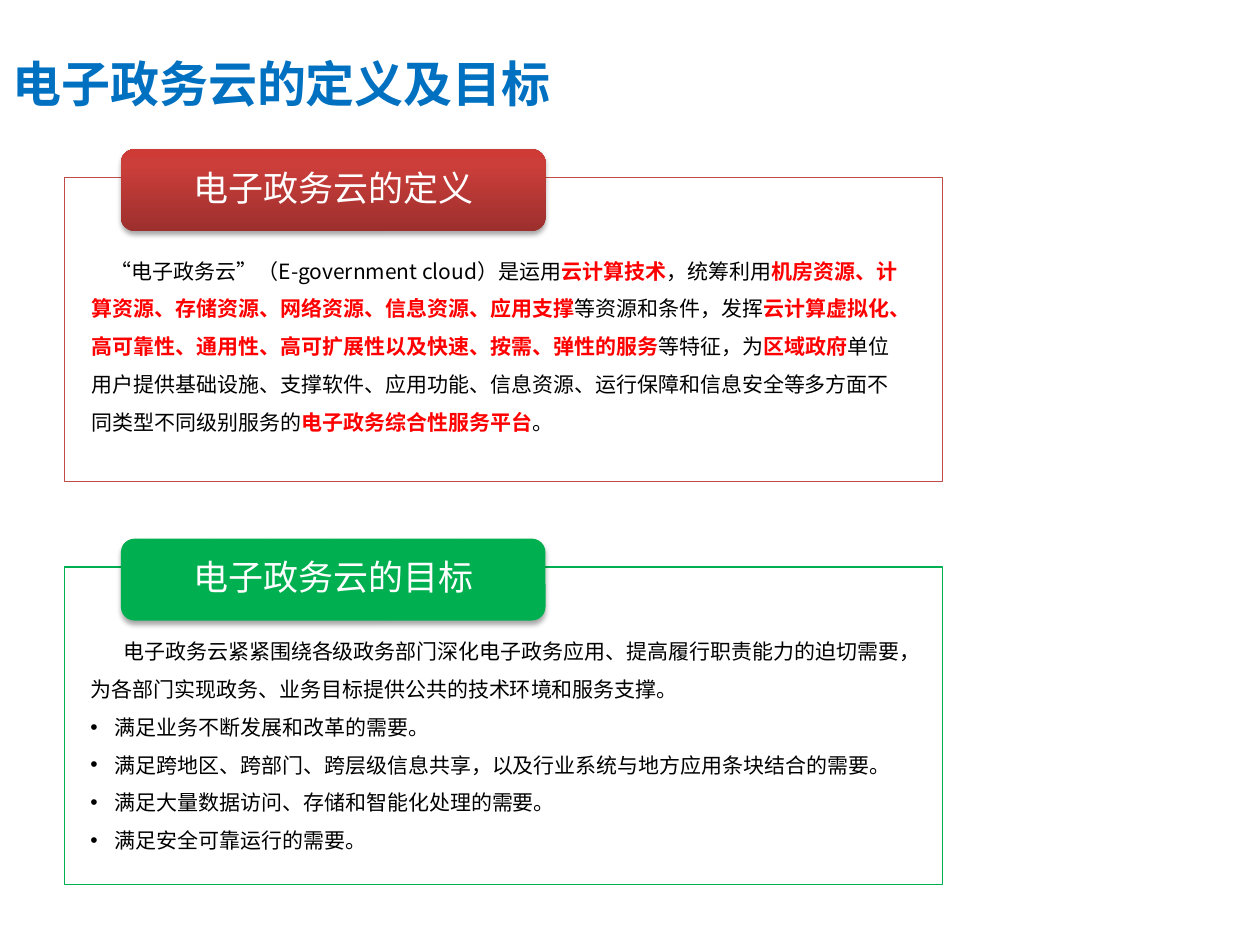
from copy import deepcopy

from lxml import etree
from pptx import Presentation
from pptx import util as u
from pptx.dml.color import RGBColor
from pptx.enum import shapes, text
from pptx.oxml import ns

WIDE, HIGH = u.Inches(10), u.Inches(7.5)
SANS = "Noto Sans CJK SC"
WHITE, BLACK, RED, GREEN = "FFFFFF", "000000", "FF0000", "00B050"
BLEND = [(0, "9C2F2D"), (0.8, "CB3E3A"), (1, "CE3B37")]

# Pairs of plain and stressed text
MEANING = [
    ("“电子政务云”（E-government cloud）是运用", "云计算技术"),
    ("，统筹利用", "机房资源、计算资源、存储资源、网络资源、信息资源、应用支撑"),
    ("等资源和条件，发挥",
     "云计算虚拟化、高可靠性、通用性、高可扩展性以及快速、按需、弹性的服务"),
    ("等特征，为", "区域政府"),
    ("单位用户提供基础设施、支撑软件、应用功能、信息资源、运行保障和信息安全等多方面不同类型不同级别服务的",
     "电子政务综合性服务平台"),
    ("。", ""),
]
INTRO = ("电子政务云紧紧围绕各级政务部门深化电子政务应用、提高履行职责能力的迫切需要，"
         "为各部门实现政务、业务目标提供公共的技术环境和服务支撑。")
NEEDS = [
    "满足业务不断发展和改革的需要。",
    "满足跨地区、跨部门、跨层级信息共享，以及行业系统与地方应用条块结合的需要。",
    "满足大量数据访问、存储和智能化处理的需要。",
    "满足安全可靠运行的需要。",
]


def color(code):
    return RGBColor.from_string(code)


def place(x, y, w, h):
    """Turn percentages of the slide into lengths."""
    return [int(side * share / 100)
            for side, share in zip((WIDE, HIGH, WIDE, HIGH), (x, y, w, h))]


def add_node(host, tag, **attrs):
    return etree.SubElement(host, ns.qn(tag), {k: str(v) for k, v in attrs.items()})


def style(run, size, code, bold=False, face=SANS):
    font = run.font
    font.size, font.bold, font.name = u.Pt(size), bold, face
    font.color.rgb = color(code)
    add_node(run._r.get_or_add_rPr(), "a:ea", typeface=face)


def add_text(slide, *area, anchor=text.MSO_ANCHOR.TOP):
    frame = slide.shapes.add_textbox(*place(*area)).text_frame
    frame.word_wrap = True
    frame.vertical_anchor = anchor
    return frame


def indent(para, left, first, mark=None):
    props = para._p.get_or_add_pPr()
    props.set("marL", str(u.Inches(left)))
    props.set("indent", str(u.Inches(first)))
    para.line_spacing = 1.5
    if mark:
        add_node(props, "a:buFont", typeface="Arial")
        add_node(props, "a:buChar", char=mark)


def add_panel(slide, y, h, edge):
    panel = slide.shapes.add_shape(
        shapes.MSO_SHAPE.RECTANGLE, *place(5.1, y, 69.7, h))
    panel.shadow.inherit = False
    panel.fill.solid()
    panel.fill.fore_color.rgb = color(WHITE)
    panel.line.color.rgb = color(edge)
    panel.line.width = u.Pt(0.75)


def blend(shape, stops):
    shape.fill.gradient()
    shape.fill.gradient_angle = 90
    nodes = shape._element.spPr.find(".//" + ns.qn("a:gsLst"))
    nodes.append(deepcopy(nodes[0]))
    for stop, (spot, code) in zip(shape.fill.gradient_stops, stops):
        stop.position = spot
        stop.color.rgb = color(code)


def add_shade(shape):
    shape.shadow.inherit = False
    effects = shape._element.spPr.find(ns.qn("a:effectLst"))
    shade = add_node(effects, "a:outerShdw", blurRad=u.Pt(3.1), dist=u.Pt(1.8),
                     dir=5400000, rotWithShape=0)
    tone = add_node(shade, "a:srgbClr", val=BLACK)
    add_node(tone, "a:alpha", val=35000)


def add_label(slide, y, words, fill):
    tab = slide.shapes.add_shape(
        shapes.MSO_SHAPE.ROUNDED_RECTANGLE, *place(9.6, y, 33.7, 8.67))
    if isinstance(fill, list):
        blend(tab, fill)
    else:
        tab.fill.solid()
        tab.fill.fore_color.rgb = color(fill)
    tab.line.fill.background()
    add_shade(tab)

    frame = add_text(slide, 9.8, y + 0.4, 33.4, 7.73, anchor=text.MSO_ANCHOR.MIDDLE)
    frame.margin_left = frame.margin_right = u.Inches(0.24)
    frame.margin_top = frame.margin_bottom = 0
    frame.text = words
    para = frame.paragraphs[0]
    para.alignment = text.PP_ALIGN.CENTER
    para.line_spacing = 0.9
    style(para.runs[0], 20, WHITE)


def add_section(slide, y, h, words, edge, fill):
    add_panel(slide, y, h, edge)
    add_label(slide, y - 3, words, fill)


def add_meaning(slide):
    frame = add_text(slide, 6.3, 25.33, 66.1, 21.6)
    frame.auto_size = text.MSO_AUTO_SIZE.SHAPE_TO_FIT_TEXT
    para = frame.paragraphs[0]
    indent(para, 0, 0.15)
    for plain, strong in MEANING:
        for words, code in ((plain, BLACK), (strong, RED)):
            if words:
                run = para.add_run()
                run.text = words
                style(run, 12, code, bold=code == RED)


def add_goals(slide):
    frame = add_text(slide, 6.2, 65.6, 67, 25.6)
    frame.auto_size = text.MSO_AUTO_SIZE.SHAPE_TO_FIT_TEXT
    frame.text = "\n".join([INTRO] + NEEDS)
    for row, para in enumerate(frame.paragraphs):
        if row:
            indent(para, 0.19, -0.19, "•")
        else:
            indent(para, 0, 0.26)
        style(para.runs[0], 12, BLACK)


def main():
    deck = Presentation()
    deck.slide_width, deck.slide_height = WIDE, HIGH
    slide = deck.slides.add_slide(deck.slide_layouts[6])

    # Title
    title = add_text(slide, 0, 3.33, 53.2, 10.93, anchor=text.MSO_ANCHOR.MIDDLE)
    title.text = "电子政务云的定义及目标"
    style(title.paragraphs[0].runs[0], 28, "0070C0", bold=True, face="Arial")

    # Definition
    add_section(slide, 18.8, 32.13, "电子政务云的定义", "BF4C48", BLEND)
    add_meaning(slide)

    # Goals
    add_section(slide, 60, 33.6, "电子政务云的目标", GREEN, GREEN)
    add_goals(slide)

    deck.save("out.pptx")


if __name__ == "__main__":
    main()
